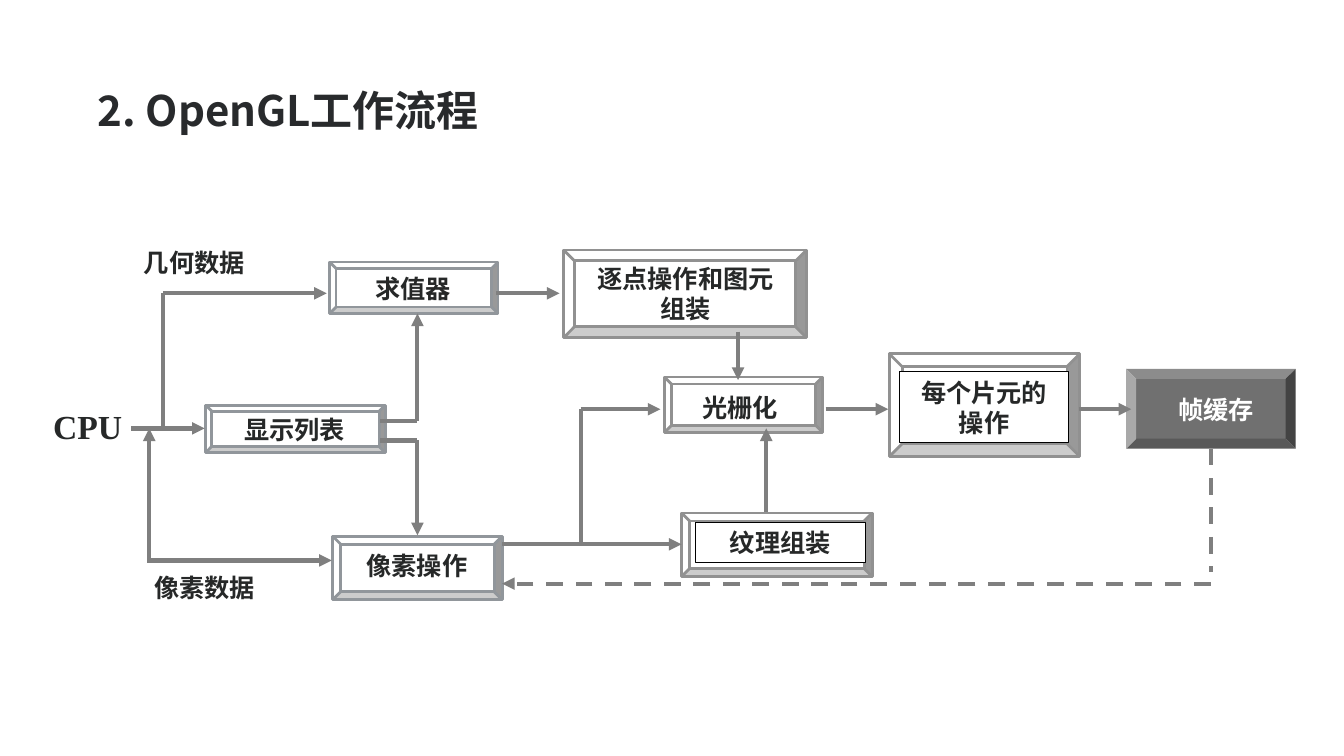
from lxml.etree import SubElement
from pptx import Presentation
from pptx.dml.color import RGBColor
from pptx.enum.dml import MSO_LINE
from pptx.enum.shapes import MSO_CONNECTOR, MSO_SHAPE
from pptx.enum.text import MSO_ANCHOR, MSO_AUTO_SIZE, PP_ALIGN
from pptx.oxml.ns import qn
from pptx.util import Inches, Pt

CJK = "Noto Sans CJK SC"
INK, WHITE, ARROW = "262828", "FFFFFF", "7F7F7F"
COOL, GREY, DARK = "91969B", "919191", "707070"
COLUMNS, ROWS = 128, 36

STAGES = [
    ("求值器", (30.7, 2, 16.7, 5.1), (30, 2.6, 17.9, 4), COOL, False),
    ("显示列表", (18.4, 16.2, 17.8, 4.7), (18.8, 16.6, 16.8, 4), COOL, False),
    ("像素操作", (31, 29.2, 16.8, 6.3), (30.9, 30.1, 16.9, 4), COOL, False),
    ("逐点操作和图元组装", (53.9, 0.8, 24.1, 8.7), (55.5, 1.6, 21, 7), GREY, False),
    ("光栅化", (63.9, 13.4, 15.7, 5.5), (63, 14.4, 16.8, 4), GREY, False),
    ("纹理组装", (65.6, 26.9, 18.9, 6.3), (67, 27.8, 16.8, 4), GREY, True),
    ("每个片元的操作", (86.2, 11.1, 18.9, 10.2), (87.2, 12.9, 16.8, 7), GREY, True),
    ("帧缓存", (109.7, 12.6, 16.8, 7.9), (110.2, 14.6, 16.8, 4), None, False),
]

FLOWS = [
    [(11, 18.5), (18.3, 18.5)],
    [(14.2, 18.5), (14.2, 5.1), (30.4, 5.1)],
    [(12.8, 31.6), (12.8, 18.5)],
    [(12.6, 31.6), (30.9, 31.6)],
    [(35.7, 17.8), (39.4, 17.8), (39.4, 7.1)],
    [(35.7, 19.7), (39.4, 19.7), (39.4, 29.1)],
    [(47.2, 5.1), (53.5, 5.1)],
    [(71.2, 8.9), (71.2, 13.7)],
    [(74, 26.8), (74, 18.5)],
    [(55.6, 30), (55.6, 16.6), (63.5, 16.6)],
    [(47.8, 30), (65.6, 30)],
    [(79.9, 16.6), (86.1, 16.6)],
    [(105, 16.6), (110.2, 16.6)],
]


def rgb(value):
    return RGBColor.from_string(value)


def format_text(p, size, color, font, align):
    p.alignment = align
    p.font.size = Pt(size)
    p.font.bold = True
    p.font.color.rgb = rgb(color)
    p.font.name = font
    defaults = p._p.get_or_add_pPr().find(qn("a:defRPr"))
    SubElement(defaults, qn("a:ea"), typeface=CJK)


def place(box, area):
    left, top, width, height = box
    x, y, w, h = area
    col, row = width / COLUMNS, height / ROWS
    return (Inches(left + x * col), Inches(top + y * row),
            Inches(w * col), Inches(h * row))


def add_label(s, box, area, text, size=18, color=INK, font="Roboto",
              align=PP_ALIGN.CENTER, framed=False):
    if framed:
        sp = s.shapes.add_shape(MSO_SHAPE.RECTANGLE, *place(box, area))
        sp.shadow.inherit = False
        sp.fill.solid()
        sp.fill.fore_color.rgb = rgb(WHITE)
        sp.line.color.rgb = rgb("000000")
        sp.line.width = Pt(0.75)
    else:
        sp = s.shapes.add_textbox(*place(box, area))
    tf = sp.text_frame
    tf.word_wrap = True
    tf.auto_size = MSO_AUTO_SIZE.SHAPE_TO_FIT_TEXT
    tf.vertical_anchor = MSO_ANCHOR.TOP
    tf.text = text
    format_text(tf.paragraphs[0], size, color, font, align)


def add_stage(s, box, text, area, text_area, outline, framed):
    sp = s.shapes.add_shape(MSO_SHAPE.BEVEL, *place(box, area))
    sp.shadow.inherit = False
    sp.adjustments[0] = 0.125
    sp.fill.solid()
    sp.fill.fore_color.rgb = rgb(WHITE if outline else DARK)
    if outline:
        sp.line.color.rgb = rgb(outline)
        sp.line.width = Pt(2)
    else:
        sp.line.fill.background()
    add_label(s, box, text_area, text, color=INK if outline else WHITE, framed=framed)


def add_flow(s, box, points, arrow=True, dashed=False):
    for start, end in zip(points, points[1:]):
        x1, y1 = place(box, (*start, 0, 0))[:2]
        x2, y2 = place(box, (*end, 0, 0))[:2]
        line = s.shapes.add_connector(MSO_CONNECTOR.STRAIGHT, x1, y1, x2, y2)
        line.line.color.rgb = rgb(ARROW)
        line.line.width = Pt(3)
        if dashed:
            line.line.dash_style = MSO_LINE.DASH
        if arrow and end == points[-1]:
            SubElement(line.line._get_or_add_ln(), qn("a:tailEnd"), type="triangle")
        SubElement(line._element.spPr, qn("a:effectLst"))


def add_title(s, box):
    title = s.shapes.title
    title.left, title.top, title.width, title.height = map(Inches, box)
    tf = title.text_frame
    tf.margin_left = tf.margin_right = tf.margin_top = tf.margin_bottom = Inches(0.05)
    tf.word_wrap = True
    tf.auto_size = MSO_AUTO_SIZE.NONE
    tf.vertical_anchor = MSO_ANCHOR.MIDDLE
    tf.text = "2. OpenGL工作流程"
    p = tf.paragraphs[0]
    p.line_spacing = 0.9
    format_text(p, 30, "282A2C", CJK, PP_ALIGN.LEFT)


def add_pipeline(s, box):
    for stage in STAGES:
        add_stage(s, box, *stage)
    add_label(s, box, (0.4, 15.8, 12.6, 5), "CPU", size=24, font="Times New Roman")
    add_label(s, box, (11.3, 0, 20, 4), "几何数据", align=PP_ALIGN.LEFT)
    add_label(s, box, (12.3, 32.3, 20, 4), "像素数据", align=PP_ALIGN.LEFT)
    for points in FLOWS:
        add_flow(s, box, points)
    add_flow(s, box, [(118.1, 20.5), (118.1, 32.7)], arrow=False, dashed=True)
    add_flow(s, box, [(118.1, 33.9), (47.8, 33.9)], dashed=True)


def main():
    prs = Presentation()
    prs.slide_width, prs.slide_height = Inches(13.33), Inches(7.5)
    s = prs.slides.add_slide(prs.slide_layouts[5])
    add_title(s, (0.92, 0.4, 11.5, 1.45))
    add_pipeline(s, (0.2, 2.4, 12.8, 3.6))
    prs.save("out.pptx")


if __name__ == "__main__":
    main()
